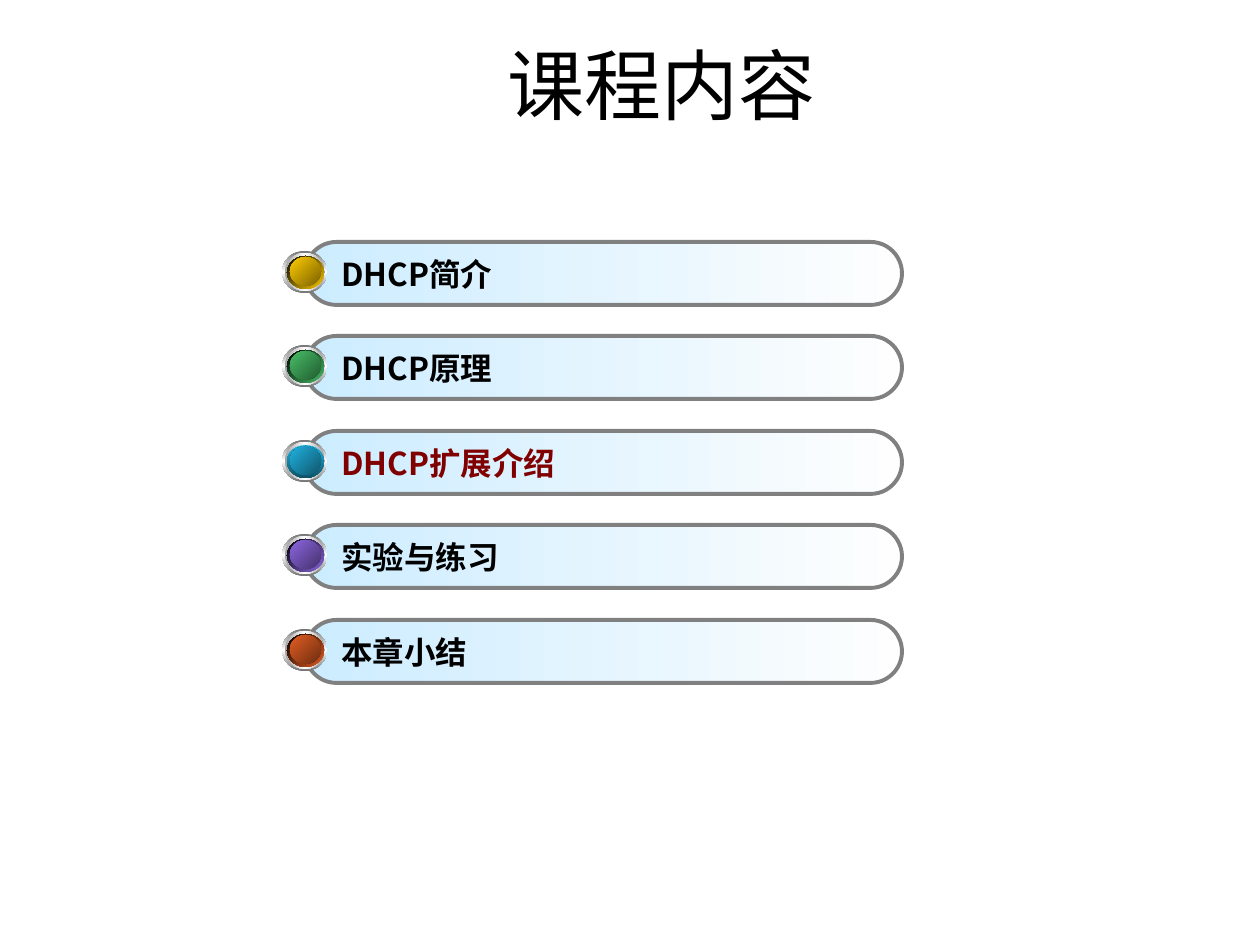
"""Build the course contents slide: a title above five pill-shaped entries with round buttons."""
from copy import deepcopy

from pptx import Presentation
from pptx.dml.color import RGBColor as RGB
from pptx.enum.shapes import MSO_SHAPE as SHAPE
from pptx.enum.text import MSO_ANCHOR as ANCHOR, PP_ALIGN as ALIGN
from pptx.oxml.ns import qn
from pptx.util import Emu, Pt
from lxml.etree import SubElement

FONT = "Noto Sans CJK SC"
BLACK = RGB(0x00, 0x00, 0x00)
WHITE = RGB(0xFF, 0xFF, 0xFF)
OFF_WHITE = RGB(0xFE, 0xFE, 0xFE)
PALE_BLUE = RGB(0xCC, 0xEC, 0xFF)
GRAY = RGB(0x80, 0x80, 0x80)
DARK_GRAY = RGB(0x75, 0x75, 0x75)
LIGHT_GRAY = RGB(0xA1, 0xA1, 0xA1)
MAROON = RGB(0x80, 0x00, 0x00)
GOLD, DARK_GOLD = RGB(0xFF, 0xCC, 0x00), RGB(0x7B, 0x62, 0x00)
GREEN, DARK_GREEN = RGB(0x48, 0xBE, 0x67), RGB(0x22, 0x5C, 0x31)
CYAN, DARK_CYAN = RGB(0x21, 0xB3, 0xE1), RGB(0x0F, 0x56, 0x6C)
CYAN_RIM = RGB(0x0F, 0x52, 0x67)
PURPLE, DARK_PURPLE = RGB(0x8D, 0x67, 0xE1), RGB(0x44, 0x31, 0x6C)
ORANGE, DARK_ORANGE = RGB(0xE3, 0x5E, 0x23), RGB(0x6D, 0x2D, 0x10)


def add_gradient_shape(shapes, kind, box, colors, angle):
    sp = shapes.add_shape(kind, *[px(n) for n in box])
    sp.shadow.inherit = False
    sp.line.fill.background()
    sp.fill.gradient()
    sp.fill.gradient_angle = angle
    stops = sp._element.spPr.find(qn("a:gradFill")).find(qn("a:gsLst"))
    for _ in colors[2:]:
        stops.append(deepcopy(stops[0]))
    for i, (stop, color) in enumerate(zip(sp.fill.gradient_stops, colors)):
        stop.position = i / (len(colors) - 1)
        stop.color.rgb = color
    return sp


def write_text(sp, text, size, color, bold, align):
    tf = sp.text_frame
    tf.word_wrap = True
    tf.vertical_anchor = ANCHOR.MIDDLE
    p = tf.paragraphs[0]
    p.text = text
    p.alignment = align
    p.font.name, p.font.size, p.font.bold = FONT, Pt(size), bold
    p.font.color.rgb = color
    SubElement(p._p.pPr.find(qn("a:defRPr")), qn("a:ea"), typeface=FONT)


px = lambda n: Emu(round(n * 914400 / 126))

prs = Presentation()
prs.slide_width, prs.slide_height = px(1260), px(945)
s = prs.slides.add_slide(prs.slide_layouts[6])

title = s.shapes.add_textbox(px(184), px(45), px(955), px(78))
write_text(title, "课程内容", 44, BLACK, False, ALIGN.CENTER)

entries = [
    ("DHCP简介", BLACK, GOLD, DARK_GOLD, BLACK, 135),
    ("DHCP原理", BLACK, GREEN, DARK_GREEN, BLACK, 135),
    ("DHCP扩展介绍", MAROON, CYAN, DARK_CYAN, CYAN_RIM, 270),
    ("实验与练习", BLACK, PURPLE, DARK_PURPLE, BLACK, 135),
    ("本章小结", BLACK, ORANGE, DARK_ORANGE, BLACK, 135),
]
for i, (text, text_color, color, dark, rim, rim_angle) in enumerate(entries):
    y = 242 + i * 189 // 2
    bar = add_gradient_shape(s.shapes, SHAPE.ROUNDED_RECTANGLE, (305, y, 597, 63),
                             [OFF_WHITE, PALE_BLUE], 180)
    bar.adjustments[0] = 0.5
    bar.line.color.rgb = GRAY
    bar.line.width = Pt(2.25)
    bar.text_frame.margin_left = px(27)
    write_text(bar, text, 18, text_color, True, ALIGN.LEFT)

    button = s.shapes.add_group_shape()
    layers = [
        ((282, y + 9, 45, 42), [DARK_GRAY, WHITE, DARK_GRAY], 270),
        ((285, y + 11, 40, 38), [LIGHT_GRAY, WHITE, LIGHT_GRAY], 180),
        ((287, y + 14, 37, 33), [color, rim], rim_angle),
        ((290, y + 15, 31, 29), [dark, color], 135),
    ]
    for box, colors, angle in layers:
        add_gradient_shape(button.shapes, SHAPE.OVAL, box, colors, angle)

prs.save("out.pptx")
